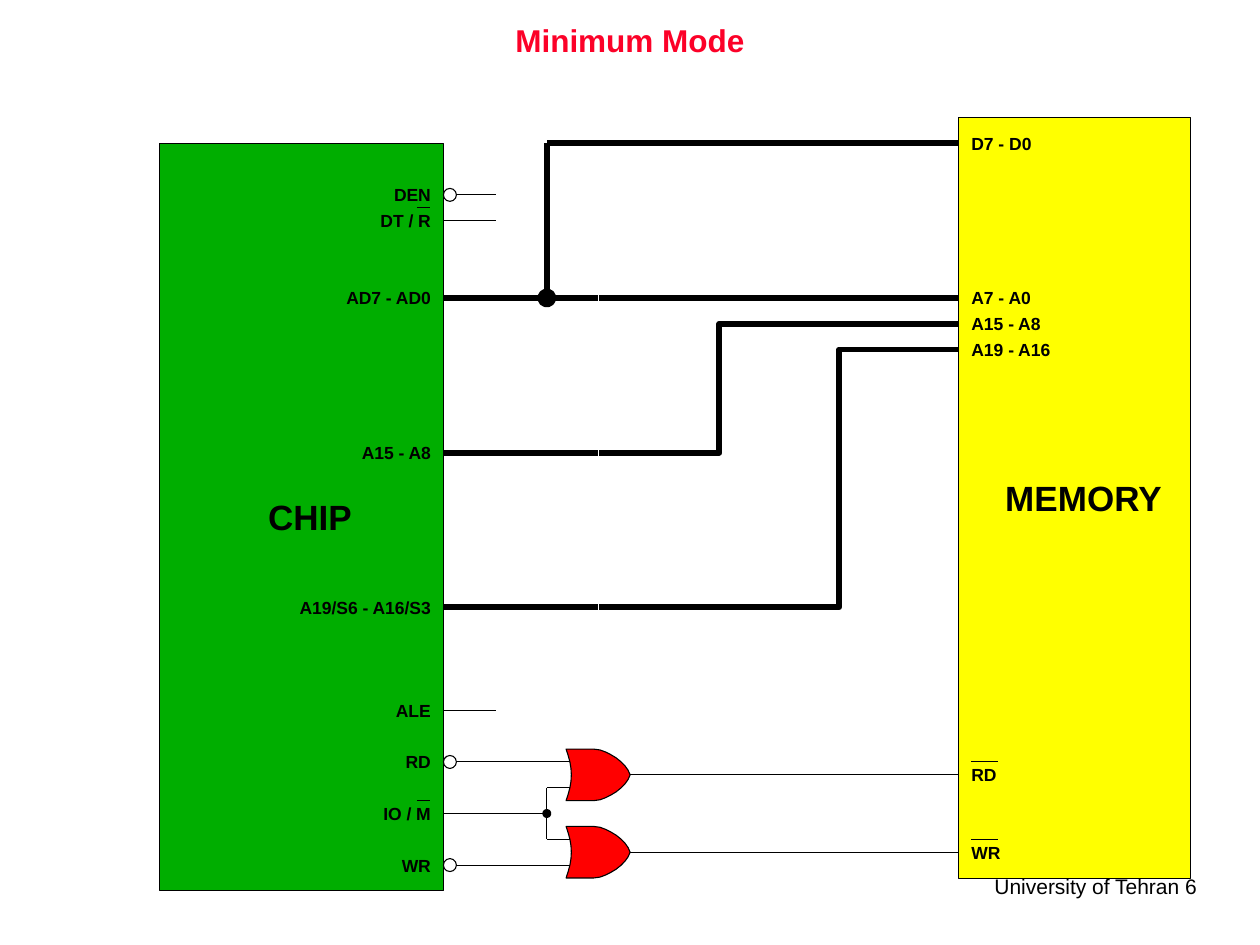
"""Draw the processor's minimum mode bus diagram on one slide."""
from lxml.etree import SubElement
from pptx import Presentation
from pptx.dml.color import RGBColor as RGB
from pptx.enum.shapes import MSO_CONNECTOR as Conn, MSO_SHAPE as Kind
from pptx.enum.text import MSO_ANCHOR as Anchor, MSO_AUTO_SIZE as Auto, PP_ALIGN as Align
from pptx.oxml.ns import qn
from pptx.util import Pt

THEME = {
    "font": "Arial", "ink": "000000", "title": "FC0128", "cpu": "00AE00",
    "mem": "FFFF00", "gate": "FF0000", "paper": "FFFFFF",
    "head": 18, "name": 20, "pin": 10, "foot": 12,
    "thin": 0.63, "bus": 3.38, "dot": 2.5, "knot": 8.13,
}
TOP, STEP = 81.9, 14.73
CPU = (91.4, 82.1, 162, 427)
MEM = (547.9, 67, 132.5, 434.9)
EDGE, PORT = CPU[0] + CPU[2], MEM[0]
TAP, STUB, GATE, TIP, SEAM, GAP = 312.5, 283.4, 323.5, 360.1, 342.3, 0.6
RING, DOT, PAD = 7.4, 2.6, 7.2

TITLE, FOOT = "Minimum Mode", "University of Tehran 6"
NAMES = [
    ("MEMORY", (570.2, 272.2, 97.9, 27.4)),
    ("CHIP", (150.5, 283, 53.3, 27.4)),
]
CPU_PINS = [
    ("DEN", 2, 25.2), ("DT / R", 3, 33.1), ("AD7 - AD0", 6, 52.6),
    ("A15 - A8", 12, 43.9), ("A19/S6 - A16/S3", 18, 79.2), ("ALE", 22, 24.5),
    ("RD", 24, 18.7), ("IO / M", 26, 31.7), ("WR", 28, 20.9),
]
MEM_PINS = [
    ("D7 - D0", 0, 38.9), ("A7 - A0", 6, 38.9), ("A15 - A8", 7, 43.9),
    ("A19 - A16", 8, 49.7), ("RD", 24.5, 18.7), ("WR", 27.5, 20.9),
]
BARS = [(238.3, 245.5, 2.5), (238.3, 245.5, 25.5), (555.1, 570.2, 24), (555.1, 570.2, 27)]
GATES = [23.5, 26.5]
RINGS = [2, 24, 28]
WIRES = [
    (EDGE + RING, 2, STUB, 2), (EDGE, 3, STUB, 3), (EDGE, 22, STUB, 22),
    (EDGE + RING, 24, TAP, 24), (EDGE, 26, TAP, 26),
    (EDGE + RING, 28, TAP, 28), (TAP, 25, TAP, 27),
]
BUSES = [(EDGE, n, SEAM - GAP, n) for n in (6, 12, 18)] + [
    (SEAM, 6, PORT, 6), (TAP, 0, PORT, 0), (TAP, 0, TAP, 6),
]
BENDS = [(12, 411.1, 7), (18, 479.5, 8)]
NOSE = [
    (15.8, 0), (19.4, 0.5), (22.6, 1.7), (25.6, 3.2), (28.6, 5),
    (31.3, 7.2), (33.6, 9.5), (35.4, 12), (36.6, STEP),
]
BACK = [(0, 0), (1.2, 3.7), (2.2, 7.4), (2.8, 11), (3, STEP)]


def row(n):
    return TOP + STEP * n


def tint(key):
    return RGB.from_string(THEME[key])


def paint(shape, fill, width="thin"):
    shape.shadow.inherit = False
    if fill:
        shape.fill.solid()
        shape.fill.fore_color.rgb = tint(fill)
    else:
        shape.fill.background()
    shape.line.color.rgb = tint("ink")
    shape.line.width = Pt(THEME[width])


def style(frame, text, size, align, color="ink", bold=True):
    frame.text = text
    para = frame.paragraphs[0]
    para.alignment = align
    font = para.font
    font.name, font.size, font.bold = THEME["font"], Pt(THEME[size]), bold
    font.color.rgb = tint(color)
    return para


def label(slide, text, box, size, align=Align.LEFT):
    frame = slide.shapes.add_textbox(*map(Pt, box)).text_frame
    frame.margin_left = frame.margin_right = frame.margin_top = frame.margin_bottom = 0
    frame.word_wrap = False
    frame.vertical_anchor = Anchor.TOP
    style(frame, text, size, align)


def block(slide, kind, box, fill, width="thin"):
    paint(slide.shapes.add_shape(kind, *map(Pt, box)), fill, width)


def round_at(slide, x, n, size, fill, width):
    block(slide, Kind.OVAL, (x - size / 2, row(n) - size / 2, size, size), fill, width)


def wire(slide, x, n, end_x, end_n, width="thin"):
    ends = map(Pt, (x, row(n), end_x, row(end_n)))
    line = slide.shapes.add_connector(Conn.STRAIGHT, *ends)
    line.line.color.rgb = tint("ink")
    line.line.width = Pt(THEME[width])
    SubElement(line._element.spPr, qn("a:effectLst"))


def trace(slide, points, fill=None, width="thin"):
    first, *rest = [(Pt(x), Pt(y)) for x, y in points]
    pen = slide.shapes.build_freeform(*first, scale=1.0)
    pen.add_line_segments(rest, close=bool(fill))
    paint(pen.convert_to_shape(), fill, width)


def flip(points):
    return [(x, 2 * STEP - y) for x, y in points]


def gate(slide, n):
    loop = BACK + flip(BACK[-2::-1]) + flip(NOSE) + NOSE[-2::-1]
    trace(slide, [(GATE + x, row(n) + y) for x, y in loop], "gate")
    for pin in (n + 0.5, n + 1.5):
        wire(slide, TAP, pin, GATE + 2, pin)
    wire(slide, TIP, n + 1, TIP + 10.7, n + 1)
    wire(slide, TIP + 10.7, n + 1, PORT, n + 1)


def main():
    deck = Presentation()
    deck.slide_width, deck.slide_height = Pt(720), Pt(540)
    slide = deck.slides.add_slide(deck.slide_layouts[5])

    head = slide.shapes.title
    head.left, head.top, head.width, head.height = map(Pt, (78.1, 6.2, 563.8, 36))
    head.text_frame.auto_size = Auto.NONE
    head.text_frame.vertical_anchor = Anchor.MIDDLE
    style(head.text_frame, TITLE, "head", Align.CENTER, "title").line_spacing = 0.9

    foot = slide.shapes.add_textbox(*map(Pt, (551.5, 495.8, 139.7, 21.6))).text_frame
    foot.word_wrap = False
    style(foot, FOOT, "foot", Align.RIGHT, bold=False)

    block(slide, Kind.RECTANGLE, MEM, "mem")
    block(slide, Kind.RECTANGLE, CPU, "cpu")
    for text, box in NAMES:
        label(slide, text, box, "name", Align.CENTER)
    for text, n, wide in CPU_PINS:
        label(slide, text, (EDGE - PAD - wide, row(n) - 6, wide, 13.7), "pin", Align.RIGHT)
    for text, n, wide in MEM_PINS:
        label(slide, text, (PORT + PAD, row(n) - 6, wide, 13.7), "pin")

    for n in GATES:
        gate(slide, n)
    for x, end, n in BARS:
        wire(slide, x, n, end, n)
    for ends in WIRES:
        wire(slide, *ends)
    for ends in BUSES:
        wire(slide, *ends, width="bus")
    for n, x, end in BENDS:
        path = [(SEAM, row(n)), (x, row(n)), (x, row(end)), (PORT, row(end))]
        trace(slide, path, width="bus")
    for n in RINGS:
        round_at(slide, EDGE + RING / 2, n, RING, "paper", "thin")
    round_at(slide, TAP, 26, DOT, "ink", "dot")
    round_at(slide, TAP, 6, DOT, "ink", "knot")
    deck.save("out.pptx")


if __name__ == "__main__":
    main()
